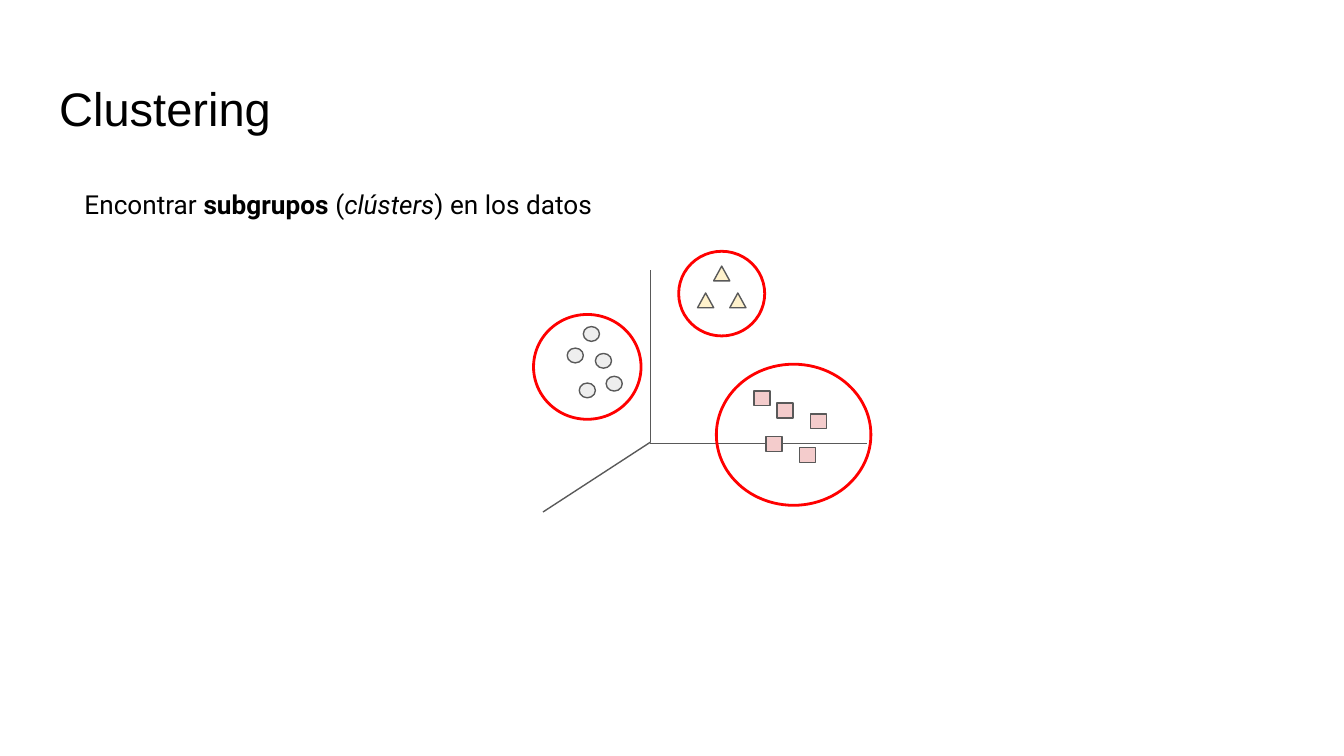
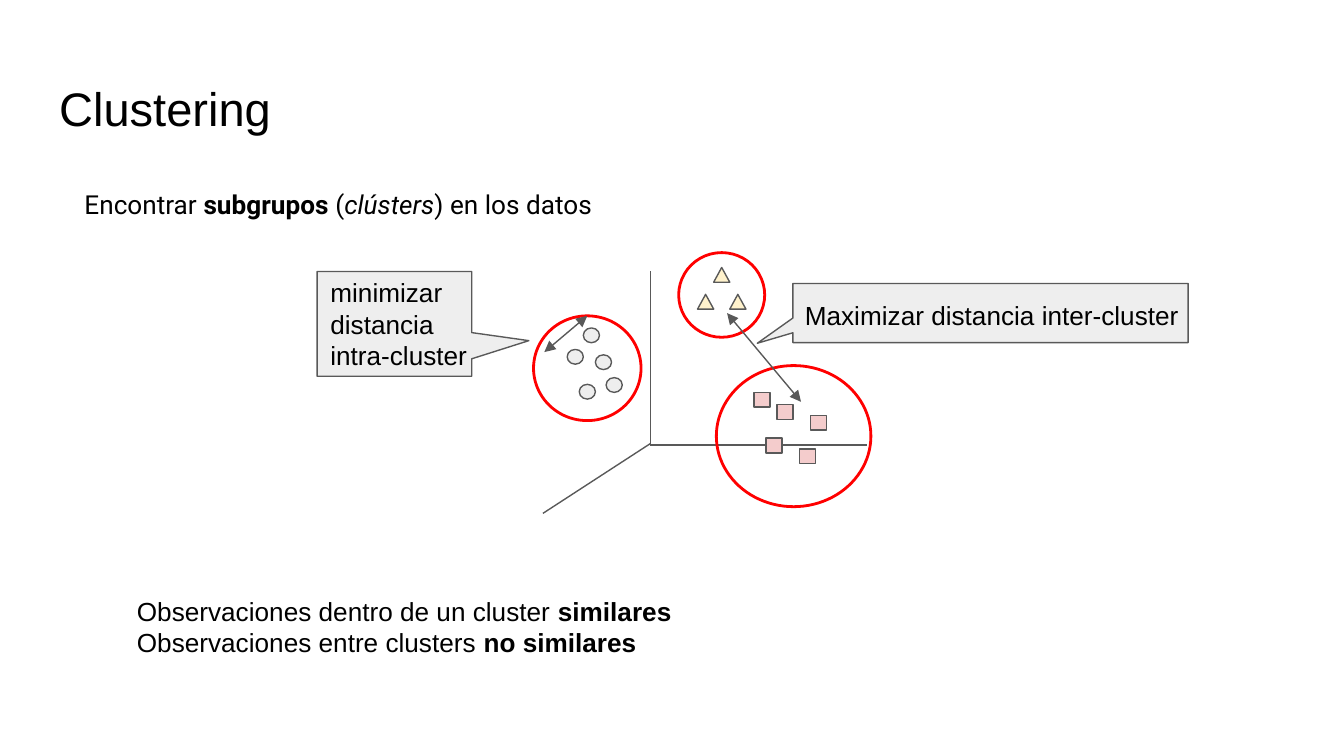
from dataclasses import dataclass

import pptx
import pptx.dml.color
import pptx.enum.shapes
import pptx.enum.text
import pptx.oxml
import pptx.oxml.ns
import pptx.util
from pptx.util import Inches

Shape = pptx.enum.shapes.MSO_SHAPE
Anchor = pptx.enum.text.MSO_ANCHOR


@dataclass(frozen=True)
class Theme:
    ink: str = "000000"
    outline: str = "595959"
    highlight: str = "FF0000"
    gray: str = "EEEEEE"
    yellow: str = "FFF2CC"
    pink: str = "F4CCCC"
    font: str = "Arial"
    lead_font: str = "Roboto"
    title_size: float = 25.2
    body_size: float = 14
    thin: float = 0.75
    thick: float = 1.5


@dataclass(frozen=True)
class Box:
    left: float
    top: float
    width: float
    height: float

    def lengths(self) -> tuple:
        return tuple(map(Inches, (self.left, self.top, self.width, self.height)))


@dataclass(frozen=True)
class Run:
    text: str
    bold: bool = False
    italic: bool = False


@dataclass(frozen=True)
class Cluster:
    ring: Box
    marker: Shape
    fill: str
    points: tuple  # top left corner of each marker


@dataclass(frozen=True)
class Line:
    x1: float
    y1: float
    x2: float
    y2: float


@dataclass(frozen=True)
class Callout:
    box: Box
    pointer: tuple
    text_box: Box
    text: str


THEME = Theme()
SLIDE_WIDTH = Inches(10)
SLIDE_HEIGHT = SLIDE_WIDTH * 9 // 16
MARKER_WIDTH, MARKER_HEIGHT = 0.12, 0.11
ANNOTATED_DROP = 0.01

CLUSTERS = (
    Cluster(Box(3.97, 2.34, 0.8, 0.78), Shape.OVAL, THEME.gray,
            ((4.34, 2.43), (4.22, 2.59), (4.51, 2.8), (4.43, 2.63), (4.31, 2.85))),
    Cluster(Box(5.05, 1.87, 0.64, 0.63), Shape.ISOSCELES_TRIANGLE, THEME.yellow,
            ((5.31, 1.98), (5.19, 2.18), (5.43, 2.18))),
    Cluster(Box(5.33, 2.71, 1.15, 1.05), Shape.RECTANGLE, THEME.pink,
            ((5.61, 2.91), (5.78, 3), (5.95, 3.33), (6.03, 3.08), (5.7, 3.25))),
)
AXES = (Line(4.84, 2.01, 4.84, 3.29), Line(4.84, 3.3, 6.45, 3.3), Line(4.84, 3.29, 4.04, 3.81))
DISTANCES = (Line(5.41, 2.33, 5.96, 2.99), Line(4.37, 2.35, 4.05, 2.62))
CALLOUTS = (
    Callout(Box(5.9, 2.11, 2.94, 0.44), (-0.59, 0.51), Box(5.89, 2.13, 3.86, 0.44),
            "Maximizar distancia inter-cluster"),
    Callout(Box(2.36, 2.02, 1.15, 0.78), (0.87, 0.16), Box(2.36, 1.96, 1.3, 0.91),
            "minimizar distancia intra-cluster"),
)
LEAD = ((Run("Encontrar "), Run("subgrupos ", bold=True), Run("("),
         Run("clústers", italic=True), Run(") en los datos")),)
CONCLUSIONS = (
    (Run("Observaciones dentro de un cluster "), Run("similares", bold=True)),
    (Run("Observaciones entre clusters "), Run("no similares", bold=True)),
)


def rgb(color: str) -> pptx.dml.color.RGBColor:
    return pptx.dml.color.RGBColor.from_string(color)


def write_text(shape, paragraphs: tuple, *, font: str = THEME.font,
               size: float = THEME.body_size, color: str = THEME.ink,
               anchor: Anchor = Anchor.TOP) -> None:
    frame = shape.text_frame
    frame.word_wrap = True
    frame.auto_size = pptx.enum.text.MSO_AUTO_SIZE.NONE
    frame.vertical_anchor = anchor
    frame.margin_left = frame.margin_right = Inches(0.1)
    frame.margin_top = frame.margin_bottom = Inches(0.1)
    for index, runs in enumerate(paragraphs):
        paragraph = frame.add_paragraph() if index else frame.paragraphs[0]
        paragraph.alignment = pptx.enum.text.PP_ALIGN.LEFT
        for part in runs:
            run = paragraph.add_run()
            run.text = part.text
            run.font.name = font
            run.font.size = pptx.util.Pt(size)
            run.font.bold = part.bold
            run.font.italic = part.italic
            run.font.color.rgb = rgb(color)


def add_text(slide, box: Box, paragraphs: tuple, **text_format) -> None:
    write_text(slide.shapes.add_textbox(*box.lengths()), paragraphs, **text_format)


def add_outlined(slide, kind: Shape, box: Box, fill: str | None = None,
                 line: str = THEME.outline, weight: float = THEME.thin):
    shape = slide.shapes.add_shape(kind, *box.lengths())
    shape.shadow.inherit = False
    if fill:
        shape.fill.solid()
        shape.fill.fore_color.rgb = rgb(fill)
    else:
        shape.fill.background()
    shape.line.color.rgb = rgb(line)
    shape.line.width = pptx.util.Pt(weight)
    return shape


def add_line(slide, line: Line, drop: float = 0, arrows: bool = False) -> None:
    connector = slide.shapes.add_connector(
        pptx.enum.shapes.MSO_CONNECTOR.STRAIGHT,
        Inches(line.x1), Inches(line.y1 + drop), Inches(line.x2), Inches(line.y2 + drop))
    connector.line.color.rgb = rgb(THEME.outline)
    connector.line.width = pptx.util.Pt(THEME.thin)
    properties = connector._element.spPr
    if arrows:
        outline = connector.line._get_or_add_ln()
        for end in ("a:headEnd", "a:tailEnd"):
            arrow = pptx.oxml.ns.qn(end)
            outline.append(outline.makeelement(arrow, {"type": "triangle"}))
    properties.append(properties.makeelement(pptx.oxml.ns.qn("a:effectLst"), {}))


def add_clustering_slide(presentation):
    slide = presentation.slides.add_slide(presentation.slide_layouts[5])
    title = slide.shapes.title
    title.left, title.top, title.width, title.height = Box(0.34, 0.49, 9.32, 0.63).lengths()
    write_text(title, ((Run("Clustering"),),), size=THEME.title_size, anchor=Anchor.MIDDLE)
    add_text(slide, Box(0.53, 1.3, 4.25, 0.44), LEAD, font=THEME.lead_font)
    return slide


def add_scatter(slide, drop: float = 0) -> None:
    """Draw the axes and the ringed clusters, lowered by drop inches."""
    for axis in AXES:
        add_line(slide, axis, drop)
    for cluster in CLUSTERS:
        for left, top in cluster.points:
            marker = Box(left, top + drop, MARKER_WIDTH, MARKER_HEIGHT)
            add_outlined(slide, cluster.marker, marker, cluster.fill)
        ring = cluster.ring
        add_outlined(slide, Shape.OVAL, Box(ring.left, ring.top + drop, ring.width, ring.height),
                     line=THEME.highlight, weight=THEME.thick)


def add_callout(slide, callout: Callout) -> None:
    bubble = add_outlined(slide, Shape.RECTANGULAR_CALLOUT, callout.box, THEME.gray)
    bubble.adjustments[0], bubble.adjustments[1] = callout.pointer
    add_text(slide, callout.text_box, ((Run(callout.text),),))


def main() -> None:
    presentation = pptx.Presentation()
    presentation.slide_width = SLIDE_WIDTH
    presentation.slide_height = SLIDE_HEIGHT

    add_scatter(add_clustering_slide(presentation))

    annotated = add_clustering_slide(presentation)
    for callout in CALLOUTS:
        add_callout(annotated, callout)
    add_scatter(annotated, ANNOTATED_DROP)
    for distance in DISTANCES:
        add_line(annotated, distance, arrows=True)
    add_text(annotated, Box(0.92, 4.33, 6.08, 0.67), CONCLUSIONS)

    presentation.save("out.pptx")


if __name__ == "__main__":
    main()
